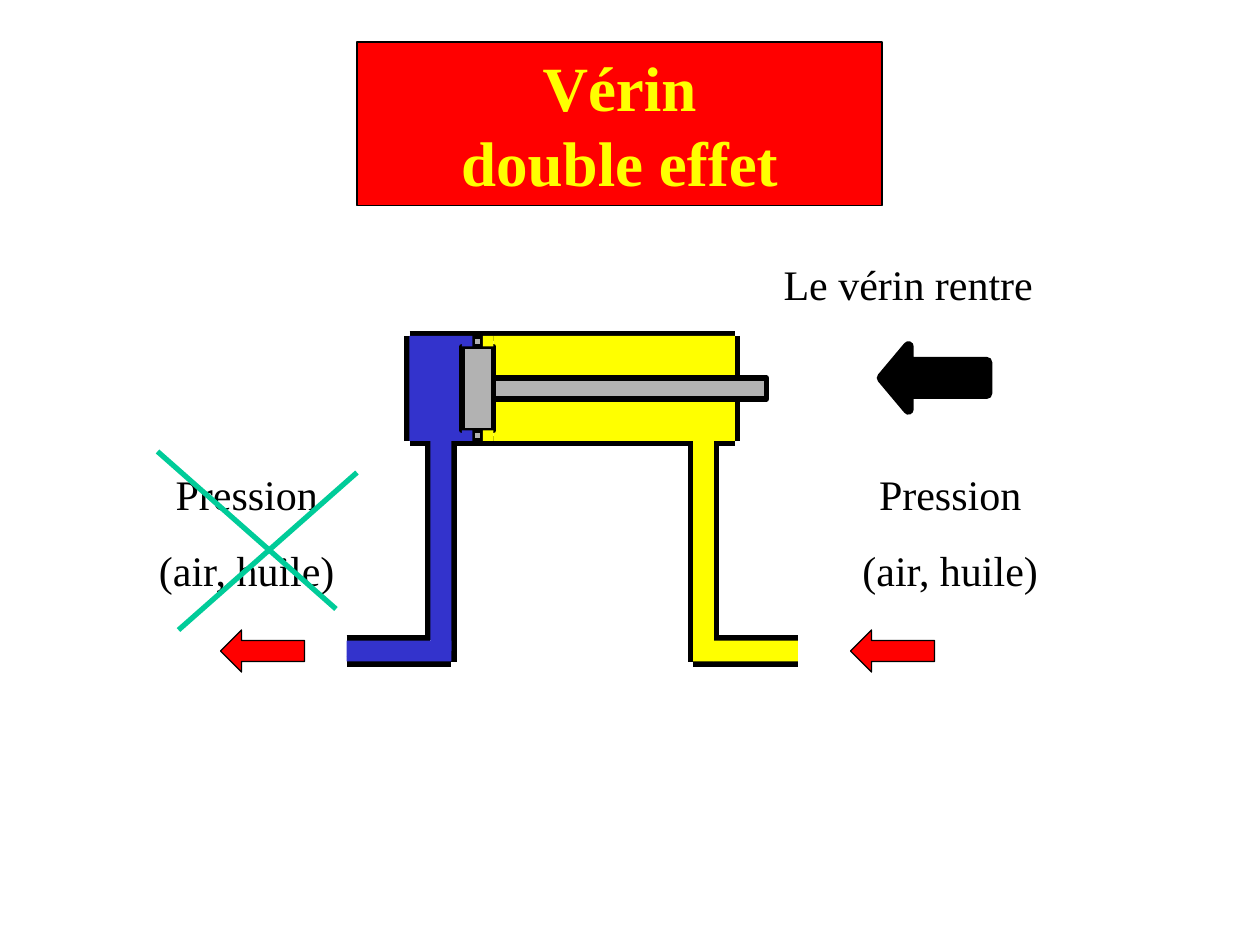
from dataclasses import dataclass
from itertools import pairwise

from lxml import etree
from pptx import Presentation
from pptx.dml.color import RGBColor
from pptx.enum.shapes import MSO_CONNECTOR, MSO_SHAPE
from pptx.enum.text import MSO_ANCHOR, MSO_AUTO_SIZE, PP_ALIGN
from pptx.oxml.ns import qn
from pptx.util import Inches, Pt

RECT = MSO_SHAPE.RECTANGLE
ARROW = MSO_SHAPE.LEFT_ARROW
STRAIGHT = MSO_CONNECTOR.STRAIGHT
CENTER = PP_ALIGN.CENTER
TOP = MSO_ANCHOR.TOP
GROW = MSO_AUTO_SIZE.SHAPE_TO_FIT_TEXT

WIDTH, HEIGHT = Inches(10), Inches(7.5)
COLS = 120
CELL = WIDTH / COLS  # square cells: 120 columns by 90 rows


@dataclass(frozen=True)
class Theme:
    font: str = "Times New Roman"
    black: str = "000000"
    red: str = "FF0000"
    yellow: str = "FFFF00"
    blue: str = "3333CC"
    gray: str = "B2B2B2"
    green: str = "00CC99"
    title: float = 36
    body: float = 24
    thin: float = 0.75
    bold: float = 3
    wall: float = 6


@dataclass(frozen=True)
class Box:
    """Place and size in grid cells, with fill and outline."""
    col: float
    row: float
    cols: float
    rows: float
    fill: str = ""
    line: float = 0


@dataclass(frozen=True)
class Label:
    box: Box
    paras: tuple[str, ...]


THEME = Theme()

OUTER = ((33, 61), (41, 61), (41, 45), (41, 42), (39, 42), (39, 32),
         (70, 32), (70, 42), (68, 42), (68, 45), (68, 61), (76, 61))
INNER = ((33, 63), (43, 63), (43, 45), (43, 42),
         (66, 42), (66, 45), (66, 63), (76, 63))
CROSS = (((15, 43), (32, 58)), ((34, 45), (17, 60)))

TITLE = Box(34, 4, 50, 15.6, THEME.red, THEME.thin)
FLUID = ("Pression", "(air, huile)")
LABELS = (
    Label(Box(80, 44, 21, 13.3), FLUID),
    Label(Box(13, 44, 21, 13.3), FLUID),
    Label(Box(73, 24, 27, 6), ("Le vérin rentre",)),
)
FILLS = (
    Box(33, 61, 10, 2, THEME.blue),
    Box(41, 42, 2, 20, THEME.blue),
    Box(39, 32, 5, 10, THEME.blue),
    Box(47, 38, 23, 4, THEME.yellow),
    Box(47, 32, 23, 4, THEME.yellow),
    Box(66, 42, 2, 21, THEME.yellow),
    Box(68, 61, 8, 2, THEME.yellow),
)
SEALS = (41, 32)
PISTON = (
    Box(44, 33, 3, 8, THEME.gray, THEME.bold),
    *(Box(45, row, 1, 1, THEME.gray, THEME.bold) for row in SEALS),
    Box(47, 36, 26, 2, THEME.gray, THEME.bold),
    *(Box(col, row, 1, 1, fill)
      for col, fill in ((44, THEME.blue), (46, THEME.yellow))
      for row in SEALS),
)
FLOWS = tuple(Box(col, 60, 8, 4, THEME.red, THEME.thin) for col in (21, 81))
MOTION = Box(84, 33, 10, 6, THEME.black, THEME.wall)


def cells(*counts: float) -> list[int]:
    return [round(n * CELL) for n in counts]


def frame(box: Box) -> list[int]:
    return cells(box.col, box.row, box.cols, box.rows)


def rgb(code: str) -> RGBColor:
    return RGBColor.from_string(code)


def draw_line(host, start: tuple, end: tuple, color: str, width: float) -> None:
    line = host.add_connector(STRAIGHT, *cells(*start, *end))
    line.line.color.rgb = rgb(color)
    line.line.width = Pt(width)
    etree.SubElement(line._element.spPr, qn("a:effectLst"))


def draw_box(host, box: Box, kind=RECT):
    shape = host.add_shape(kind, *frame(box))
    shape.shadow.inherit = False
    shape.fill.solid()
    shape.fill.fore_color.rgb = rgb(box.fill)
    if box.line:
        shape.line.color.rgb = rgb(THEME.black)
        shape.line.width = Pt(box.line)
    else:
        shape.line.fill.background()
    return shape


def write(shape, paras: tuple[str, ...], size: float, color: str,
          gap: float, bold: bool = False) -> None:
    """Write centred paragraphs; a newline becomes a line break."""
    text = shape.text_frame
    text.word_wrap = True
    text.auto_size = GROW
    text.vertical_anchor = TOP
    for i, para in enumerate(paras):
        p = text.add_paragraph() if i else text.paragraphs[0]
        p.alignment = CENTER
        p.space_before = Pt(gap)
        for j, part in enumerate(para.split("\n")):
            if j:
                p.add_line_break()
            run = p.add_run()
            run.text = part
            run.font.name = THEME.font
            run.font.size = Pt(size)
            run.font.bold = bold
            run.font.color.rgb = rgb(color)


def main() -> None:
    deck = Presentation()
    deck.slide_width, deck.slide_height = WIDTH, HEIGHT
    slide = deck.slides.add_slide(deck.slide_layouts[6])
    shapes = slide.shapes

    walls = shapes.add_group_shape().shapes
    for edge in (OUTER, INNER):
        for start, end in pairwise(edge):
            draw_line(walls, start, end, THEME.black, THEME.wall)

    write(draw_box(shapes, TITLE), ("Vérin\ndouble effet",),
          THEME.title, THEME.yellow, 22.5, bold=True)
    for label in LABELS:
        write(shapes.add_textbox(*frame(label.box)), label.paras,
              THEME.body, THEME.black, 15)
    for start, end in CROSS:
        draw_line(shapes, start, end, THEME.green, THEME.bold)

    for box in FILLS:
        draw_box(shapes, box)
    for box in FLOWS:
        draw_box(shapes, box, ARROW)
    piston = shapes.add_group_shape().shapes
    for box in PISTON:
        draw_box(piston, box)
    motion = draw_box(shapes, MOTION, ARROW)
    motion.adjustments[1] = 0.42

    deck.save("out.pptx")


if __name__ == "__main__":
    main()
